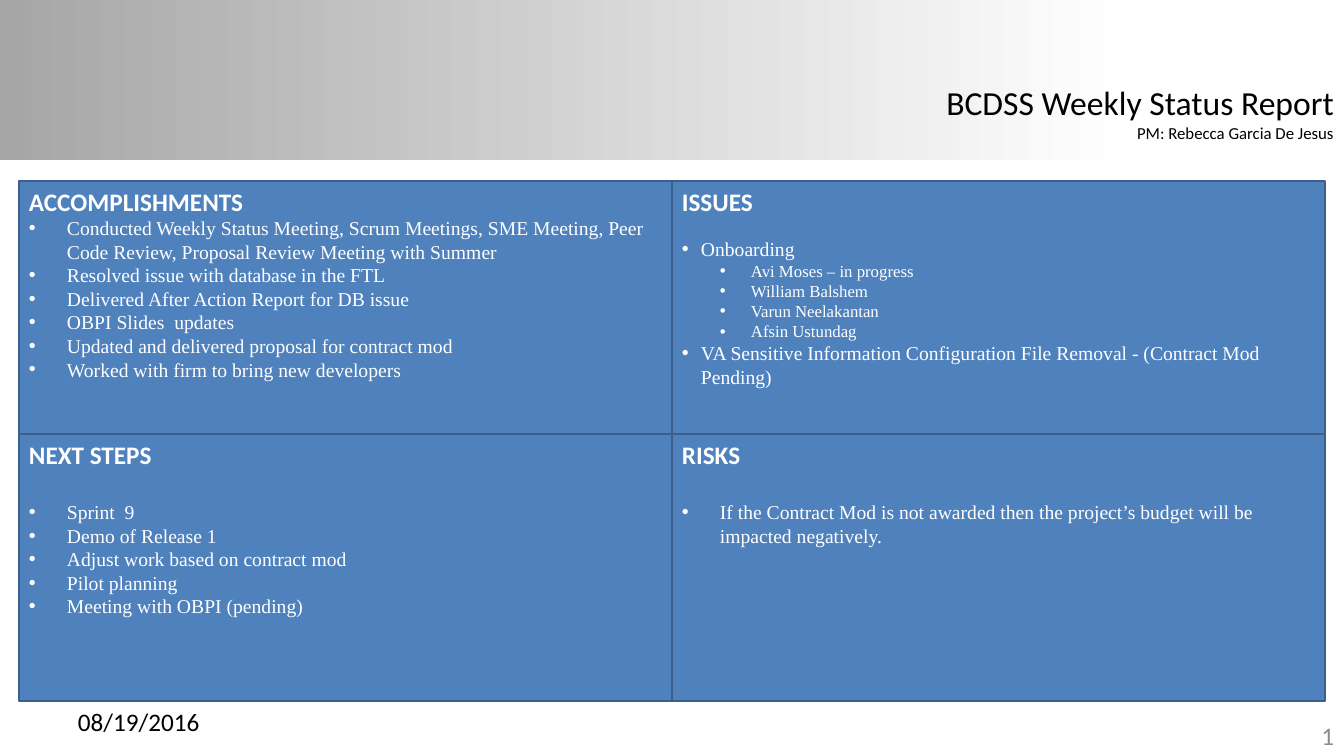
from lxml import etree
from pptx import Presentation
from pptx import util as u
from pptx.dml.color import RGBColor
from pptx.enum import shapes, text
from pptx.oxml import ns

HUES = {"band": "A6A6A6", "white": "FFFFFF", "fill": "4F81BD",
        "edge": "3A5F8C", "ink": "000000", "page": "8C8C8C"}
SERIF = "Times New Roman"
HEAD = {"size": 18, "bold": True, "hue": "white"}
# Each list style: left margin and hanging indent in px, then the font size
LISTS = {"wide": (38, 38, 14), "near": (19, 19, 14), "sub": (69, 31, 12)}

STEPS = [
    ("ACCOMPLISHMENTS", 0, [
        ("wide", "Conducted Weekly Status Meeting, Scrum Meetings, SME Meeting, "
                 "Peer Code Review, Proposal Review Meeting with Summer"),
        ("wide", "Resolved issue with database in the FTL"),
        ("wide", "Delivered After Action Report for DB issue"),
        ("wide", "OBPI Slides  updates"),
        ("wide", "Updated and delivered proposal for contract mod"),
        ("wide", "Worked with firm to bring new developers")]),
    ("ISSUES", 15, [
        ("near", "Onboarding"),
        ("sub", "Avi Moses – in progress"),
        ("sub", "William Balshem"),
        ("sub", "Varun Neelakantan"),
        ("sub", "Afsin Ustundag"),
        ("near", "VA Sensitive Information Configuration File Removal - "
                 "(Contract Mod Pending)")]),
    ("NEXT STEPS", 22, [
        ("wide", "Sprint  9"),
        ("wide", "Demo of Release 1"),
        ("wide", "Adjust work based on contract mod"),
        ("wide", "Pilot planning"),
        ("wide", "Meeting with OBPI (pending)")]),
    ("RISKS", 22, [
        ("wide", "If the Contract Mod is not awarded then the project’s budget "
                 "will be impacted negatively.")]),
]


def px(n):
    return u.Emu(round(n * 914400 / 100.8))


def rgb(name):
    return RGBColor.from_string(HUES[name])


def write(par, words, size, hue="ink", name="Calibri", bold=False, align="LEFT"):
    par.alignment = getattr(text.PP_ALIGN, align)
    run = par.add_run()
    run.text = words
    look = {"size": u.Pt(size), "name": name, "bold": bold}
    for key, val in look.items():
        setattr(run.font, key, val)
    run.font.color.rgb = rgb(hue)


def bullet(par, left, hang):
    props = par._p.get_or_add_pPr()
    props.set("marL", str(px(left)))
    props.set("indent", str(-px(hang)))
    etree.SubElement(props, ns.qn("a:buFont")).set("typeface", "Arial")
    etree.SubElement(props, ns.qn("a:buChar")).set("char", "•")


def block(slide, box):
    rect = slide.shapes.add_shape(shapes.MSO_SHAPE.RECTANGLE, *map(px, box))
    rect.shadow.inherit = False
    return rect


def band(slide, box):
    rect = block(slide, box)
    rect.line.fill.background()
    rect.fill.gradient()
    rect.fill.gradient_angle = 0
    ends = [("band", 0), ("white", 0.84)]
    for stop, (hue, pos) in zip(rect.fill.gradient_stops, ends):
        stop.color.rgb = rgb(hue)
        stop.position = pos


def place(shape, box):
    for key, val in zip(("left", "top", "width", "height"), box):
        setattr(shape, key, px(val))


def title(slide, box):
    head = slide.shapes.title
    place(head, box)
    frame = head.text_frame
    look = {"word_wrap": False, "auto_size": text.MSO_AUTO_SIZE.NONE,
            "vertical_anchor": text.MSO_ANCHOR.TOP}
    for key, val in look.items():
        setattr(frame, key, val)
    write(frame.paragraphs[0], "BCDSS Weekly Status Report", 24, align="RIGHT")
    write(frame.add_paragraph(), "PM: Rebecca Garcia De Jesus", 12, align="RIGHT")


def panel(slide, box, head, gap, items):
    """Draw a quadrant; gap is the space in points below its heading."""
    rect = block(slide, box)
    rect.fill.solid()
    rect.fill.fore_color.rgb = rgb("fill")
    rect.line.color.rgb = rgb("edge")
    rect.line.width = u.Pt(2)
    frame = rect.text_frame
    frame.word_wrap = True
    frame.vertical_anchor = text.MSO_ANCHOR.TOP
    par = frame.paragraphs[0]
    write(par, head, **HEAD)
    par.space_after = u.Pt(gap)
    for kind, words in items:
        left, hang, size = LISTS[kind]
        par = frame.add_paragraph()
        write(par, words, size, "white", SERIF)
        bullet(par, left, hang)


def grid(slide, box):
    """Lay the four panels out in two columns and two rows."""
    x, y, wide, high = box
    col = wide // 2
    rows = [(y, 253), (y + 253, high - 253)]
    for i, (head, gap, items) in enumerate(STEPS):
        top, tall = rows[i // 2]
        panel(slide, (x + i % 2 * col, top, col, tall), head, gap, items)


def note(slide, box, words, hue, align):
    frame = slide.shapes.add_textbox(*map(px, box)).text_frame
    frame.word_wrap = True
    frame.vertical_anchor = text.MSO_ANCHOR.MIDDLE
    write(frame.paragraphs[0], words, 18, hue, align=align)


def main():
    deck = Presentation()
    deck.slide_width, deck.slide_height = px(1344), px(756)
    slide = deck.slides.add_slide(deck.slide_layouts[5])
    band(slide, (0, 0, 1344, 160))
    # Bring the title in front of the band
    tree = slide.shapes._spTree
    tree.append(slide.shapes.title._element)
    title(slide, (932, 77, 412, 72))
    grid(slide, (19, 181, 1306, 520))
    note(slide, (68, 701, 313, 40), "08/19/2016", "ink", "LEFT")
    note(slide, (1030, 715, 314, 40), "1", "page", "RIGHT")
    deck.save("out.pptx")


if __name__ == "__main__":
    main()
